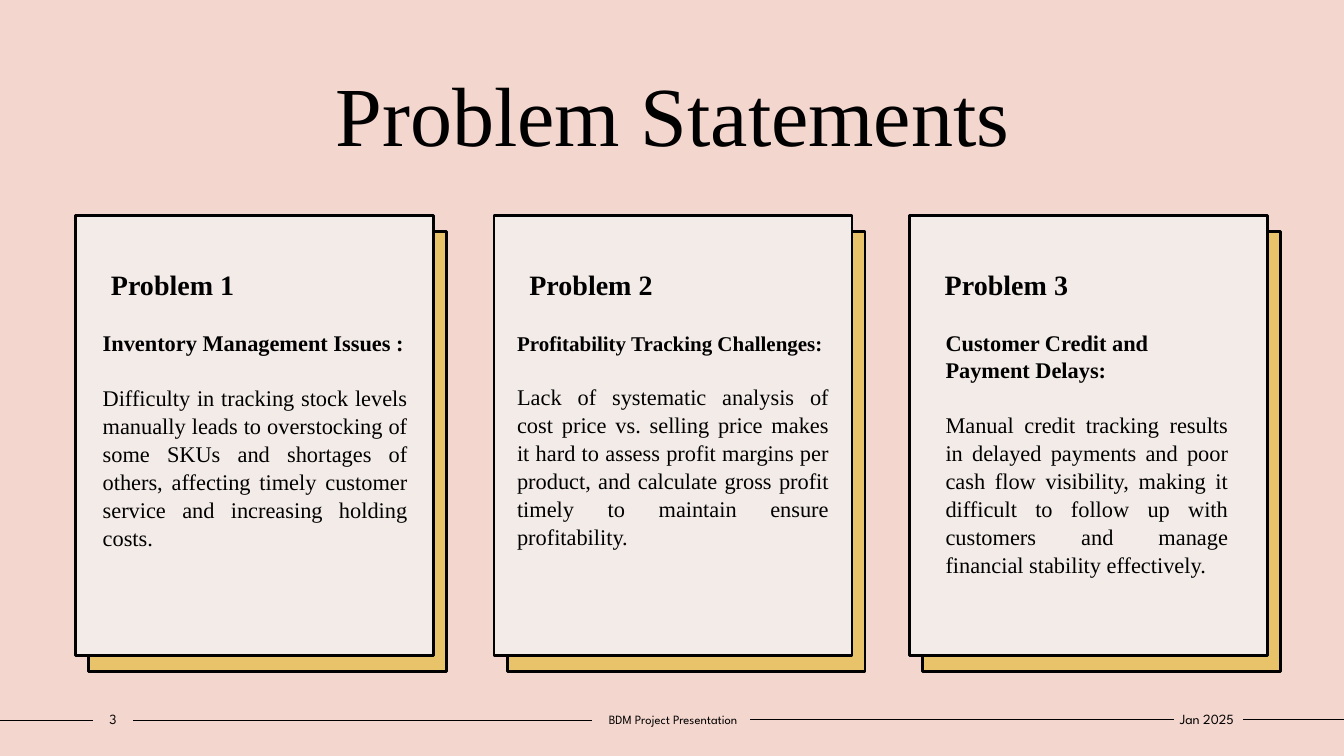
from dataclasses import dataclass

import pptx
import pptx.dml.color
import pptx.enum.shapes
import pptx.enum.text
import pptx.oxml.ns
import pptx.util
from lxml import etree

Inches = pptx.util.Inches
Pt = pptx.util.Pt
ALIGN = pptx.enum.text.PP_ALIGN
ANCHOR = pptx.enum.text.MSO_ANCHOR

SERIF = "Times New Roman"
SANS = "League Spartan"
BLACK = "000000"
BLUSH = "F3D6CD"
CREAM = "F3EBE8"
GOLD = "E9C369"

CARD_TOP, CARD_WIDTH, CARD_HEIGHT = 2.14, 3.55, 4.36
BACKING_DX, BACKING_DY = 0.13, 0.16


@dataclass
class Problem:
    label: str
    heading: str
    detail: str
    card_left: float
    text_left: float
    text_top: float
    text_width: float
    heading_size: int = 16
    heading_align: ALIGN = ALIGN.JUSTIFY


@dataclass
class FooterText:
    text: str
    left: float
    width: float
    size: int


@dataclass
class FooterRule:
    start: float
    end: float
    y: float


PROBLEMS = [
    Problem(
        "Problem 1", "Inventory Management Issues :",
        "Difficulty in tracking stock levels manually leads to overstocking of some SKUs "
        "and shortages of others, affecting timely customer service and increasing "
        "holding costs.",
        0.75, 0.92, 3.22, 3.22),
    Problem(
        "Problem 2", "Profitability Tracking Challenges:",
        "Lack of systematic analysis of cost price vs. selling price makes it hard to "
        "assess profit margins per product, and calculate gross profit timely to "
        "maintain ensure profitability.",
        4.9, 5.03, 3.23, 3.29, heading_size=15),
    Problem(
        "Problem 3", "Customer Credit and Payment Delays:",
        "Manual credit tracking results in delayed payments and poor cash flow "
        "visibility, making it difficult to follow up with customers and manage "
        "financial stability effectively.",
        9.02, 9.28, 3.22, 3, heading_align=ALIGN.LEFT),
]
FOOTER_TEXTS = [
    FooterText("3", 0.92, 0.4, 10),
    FooterText("BDM Project Presentation", 5.68, 1.99, 9),
    FooterText("Jan 2025", 11.62, 0.7, 10),
]
FOOTER_RULES = [
    FooterRule(0, 0.92, 7.15),
    FooterRule(1.32, 5.87, 7.15),
    FooterRule(7.44, 11.64, 7.14),
    FooterRule(12.33, 13.33, 7.14),
]


def rgb(value: str) -> pptx.dml.color.RGBColor:
    return pptx.dml.color.RGBColor.from_string(value)


def style_paragraph(paragraph, size: float, align: ALIGN, bold: bool = False,
                    font: str = SERIF) -> None:
    paragraph.alignment = align
    paragraph.font.name = font
    paragraph.font.size = Pt(size)
    paragraph.font.bold = bold
    paragraph.font.color.rgb = rgb(BLACK)


def set_insets(frame, left: float, top: float, right: float, bottom: float) -> None:
    frame.margin_left, frame.margin_top = Inches(left), Inches(top)
    frame.margin_right, frame.margin_bottom = Inches(right), Inches(bottom)


def add_panel(slide, left: float, top: float, fill: str):
    panel = slide.shapes.add_shape(
        pptx.enum.shapes.MSO_SHAPE.RECTANGLE, Inches(left), Inches(top),
        Inches(CARD_WIDTH), Inches(CARD_HEIGHT))
    panel.shadow.inherit = False
    panel.fill.solid()
    panel.fill.fore_color.rgb = rgb(fill)
    panel.line.color.rgb = rgb(BLACK)
    panel.line.width = Pt(2)
    return panel


def add_problem(slide, problem: Problem) -> None:
    add_panel(slide, problem.card_left + BACKING_DX, CARD_TOP + BACKING_DY, GOLD)
    card = add_panel(slide, problem.card_left, CARD_TOP, CREAM).text_frame
    card.word_wrap = True
    card.vertical_anchor = ANCHOR.TOP
    set_insets(card, 0.35, 0.55, 0.1, 0.05)
    label = card.paragraphs[0]
    label.text = problem.label
    label.line_spacing = 0.9
    style_paragraph(label, 20, ALIGN.LEFT, bold=True)

    body = slide.shapes.add_textbox(
        Inches(problem.text_left), Inches(problem.text_top),
        Inches(problem.text_width), Inches(3.05)).text_frame
    body.word_wrap = True
    heading = body.paragraphs[0]
    heading.text = problem.heading
    style_paragraph(heading, problem.heading_size, problem.heading_align, bold=True)
    detail = body.add_paragraph()
    detail.text = problem.detail
    detail.space_before = Pt(19)
    detail.line_spacing = 1.04
    style_paragraph(detail, 16, ALIGN.JUSTIFY)


def add_footer_rule(slide, rule: FooterRule) -> None:
    line = slide.shapes.add_connector(
        pptx.enum.shapes.MSO_CONNECTOR.STRAIGHT, Inches(rule.start), Inches(rule.y),
        Inches(rule.end), Inches(rule.y))
    line.line.color.rgb = rgb(BLACK)
    line.line.width = Pt(1)
    etree.SubElement(line._element.spPr, pptx.oxml.ns.qn("a:effectLst"))


def add_footer_text(slide, item: FooterText) -> None:
    frame = slide.shapes.add_textbox(
        Inches(item.left), Inches(7), Inches(item.width), Inches(0.27)).text_frame
    frame.word_wrap = True
    frame.vertical_anchor = ANCHOR.MIDDLE
    set_insets(frame, 0, 0.05, 0, 0.05)
    frame.paragraphs[0].text = item.text
    style_paragraph(frame.paragraphs[0], item.size, ALIGN.CENTER, font=SANS)


def add_title(slide, text: str) -> None:
    title = slide.shapes.title
    title.left, title.top = Inches(1.25), Inches(0.56)
    title.width, title.height = Inches(10.84), Inches(1.11)
    title.text_frame.text = text
    title.text_frame.vertical_anchor = ANCHOR.BOTTOM
    style_paragraph(title.text_frame.paragraphs[0], 60, ALIGN.CENTER)


def main() -> None:
    deck = pptx.Presentation()
    deck.slide_width, deck.slide_height = Inches(13.33), Inches(7.5)
    slide = deck.slides.add_slide(deck.slide_layouts.get_by_name("Title Only"))
    slide.background.fill.solid()
    slide.background.fill.fore_color.rgb = rgb(BLUSH)

    add_title(slide, "Problem Statements")
    for rule in FOOTER_RULES:
        add_footer_rule(slide, rule)
    for problem in PROBLEMS:
        add_problem(slide, problem)
    for item in FOOTER_TEXTS:
        add_footer_text(slide, item)
    deck.save("out.pptx")


if __name__ == "__main__":
    main()
